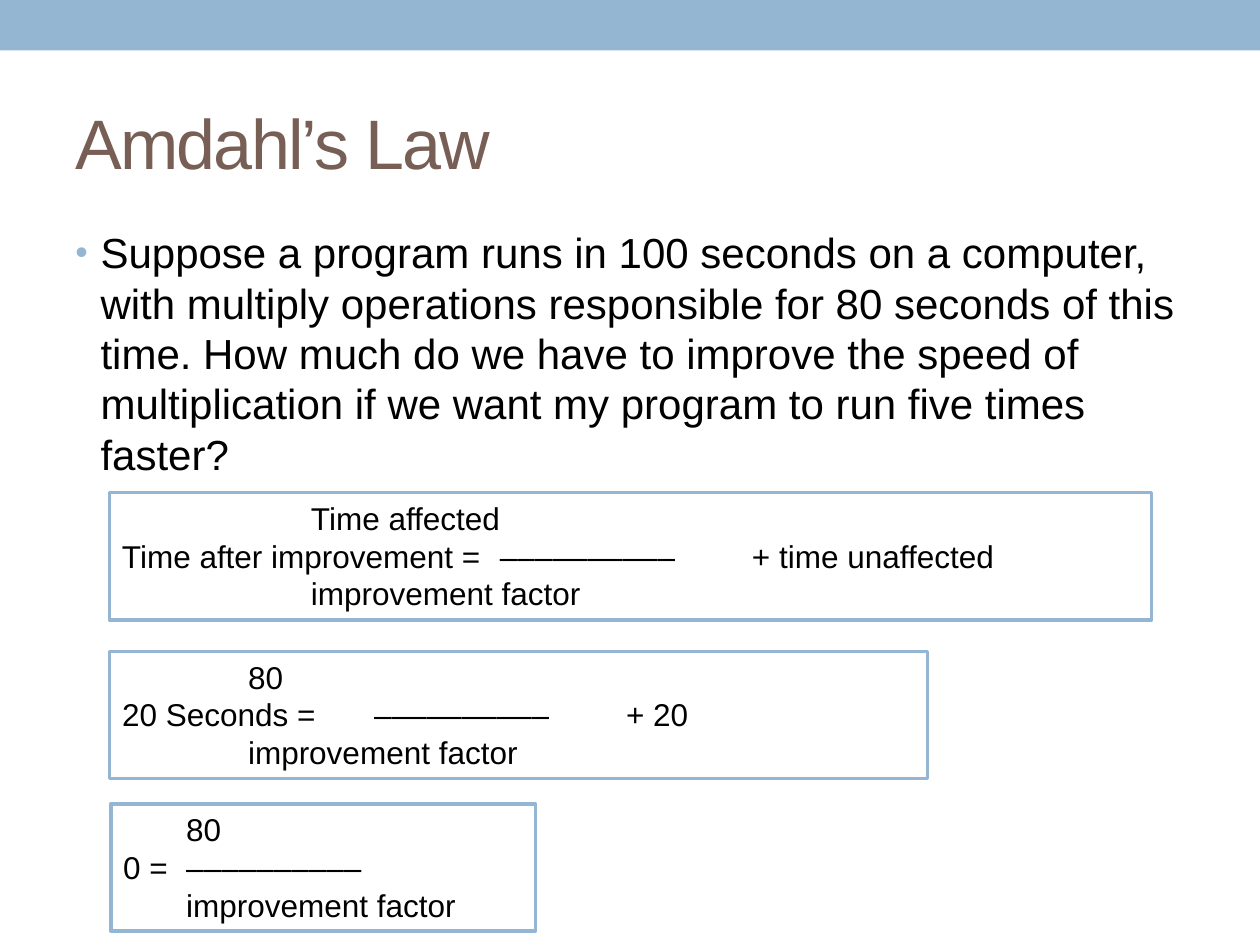
from lxml import etree
from pptx import Presentation
from pptx.dml.color import RGBColor
from pptx.enum.shapes import MSO_SHAPE
from pptx.enum.text import MSO_ANCHOR, PP_ALIGN
from pptx.oxml.ns import qn
from pptx.util import Inches, Pt

RECTANGLE = MSO_SHAPE.RECTANGLE
MIDDLE, TOP = MSO_ANCHOR.MIDDLE, MSO_ANCHOR.TOP
LEFT = PP_ALIGN.LEFT

COLORS = {"accent": "94B6D2", "title": "775F55", "text": "000000", "paper": "FFFFFF"}
WIDTH, HEIGHT = 10, 7.5
FRACTION_BAR = "–" * 10


class SlideBuilder:
    """Holds the style and the slide; lengths are inches on the 10 by 7.5 page."""

    font = "Arial"

    def __init__(self, deck):
        self.page = deck.slides.add_slide(deck.slide_layouts[6])

    def color(self, name):
        return RGBColor.from_string(COLORS[name])

    def fill_text(self, shape, lines, size, color="text", anchor=TOP):
        frame = shape.text_frame
        for name, value in {"word_wrap": True, "vertical_anchor": anchor}.items():
            setattr(frame, name, value)
        for index, line in enumerate(lines):
            para = frame.add_paragraph() if index else frame.paragraphs[0]
            para.alignment = LEFT
            span = para.add_run()
            span.text = line
            for name, value in {"name": self.font, "size": Pt(size)}.items():
                setattr(span.font, name, value)
            span.font.color.rgb = self.color(color)
        return frame.paragraphs[0]

    def rectangle(self, place, fill, line=None):
        box = self.page.shapes.add_shape(RECTANGLE, *map(Inches, place))
        box.shadow.inherit = False
        box.fill.solid()
        box.fill.fore_color.rgb = self.color(fill)
        if line:
            box.line.color.rgb = self.color(line)
            box.line.width = Pt(2.08)
        else:
            box.line.fill.background()
        return box

    def text(self, place, line, size, **style):
        box = self.page.shapes.add_textbox(*map(Inches, place))
        return self.fill_text(box, [line], size, **style)

    def title(self, place, line):
        para = self.text(place, line, 40, color="title", anchor=MIDDLE)
        para.runs[0].font._element.set("spc", "-100")

    def bullet(self, place, line):
        para = self.text(place, line, 24)
        para.space_before = Pt(4.8)
        properties = para._p.get_or_add_pPr()
        indent = Inches(0.2)
        properties.set("marL", str(indent))
        properties.set("indent", str(-indent))
        bullet_color = etree.SubElement(properties, qn("a:buClr"))
        etree.SubElement(bullet_color, qn("a:srgbClr"), val=COLORS["accent"])
        etree.SubElement(properties, qn("a:buSzPct"), val="85000")
        etree.SubElement(properties, qn("a:buFont"), typeface=self.font)
        etree.SubElement(properties, qn("a:buChar"), char="•")

    def equation(self, place, result, column, numerator, addend=""):
        """Boxed fraction whose terms start at the given one-inch tab column."""
        box = self.rectangle(place, "paper", "accent")
        lead = "\t" * column
        tail = "\t\t" + addend if addend else ""
        lines = [
            lead + numerator,
            f"{result} = \t{FRACTION_BAR}{tail}",
            lead + "improvement factor",
        ]
        self.fill_text(box, lines, 18)


def main():
    deck = Presentation()
    deck.slide_width, deck.slide_height = Inches(WIDTH), Inches(HEIGHT)
    slide = SlideBuilder(deck)

    # Top band and title
    slide.rectangle((0, 0, WIDTH, 0.4), "accent")
    slide.title((0.5, 0.58, 9, 1.08), "Amdahl’s Law")

    # Question
    slide.bullet(
        (0.5, 1.75, 9, 5.33),
        "Suppose a program runs in 100 seconds on a computer, with multiply "
        "operations responsible for 80 seconds of this time. How much do we have "
        "to improve the speed of multiplication if we want my program to run five "
        "times faster?",
    )

    # Law, then the numbers put in, then the remainder
    equations = [
        ((0.87, 3.91, 8.27, 1.01), "Time after improvement", 3, "Time affected",
         "+ time unaffected"),
        ((0.87, 5.17, 6.49, 1.01), "20 Seconds", 2, "80", "+ 20"),
        ((0.88, 6.38, 3.37, 1.01), "0", 1, "80"),
    ]
    for equation in equations:
        slide.equation(*equation)

    deck.save("out.pptx")


if __name__ == "__main__":
    main()
